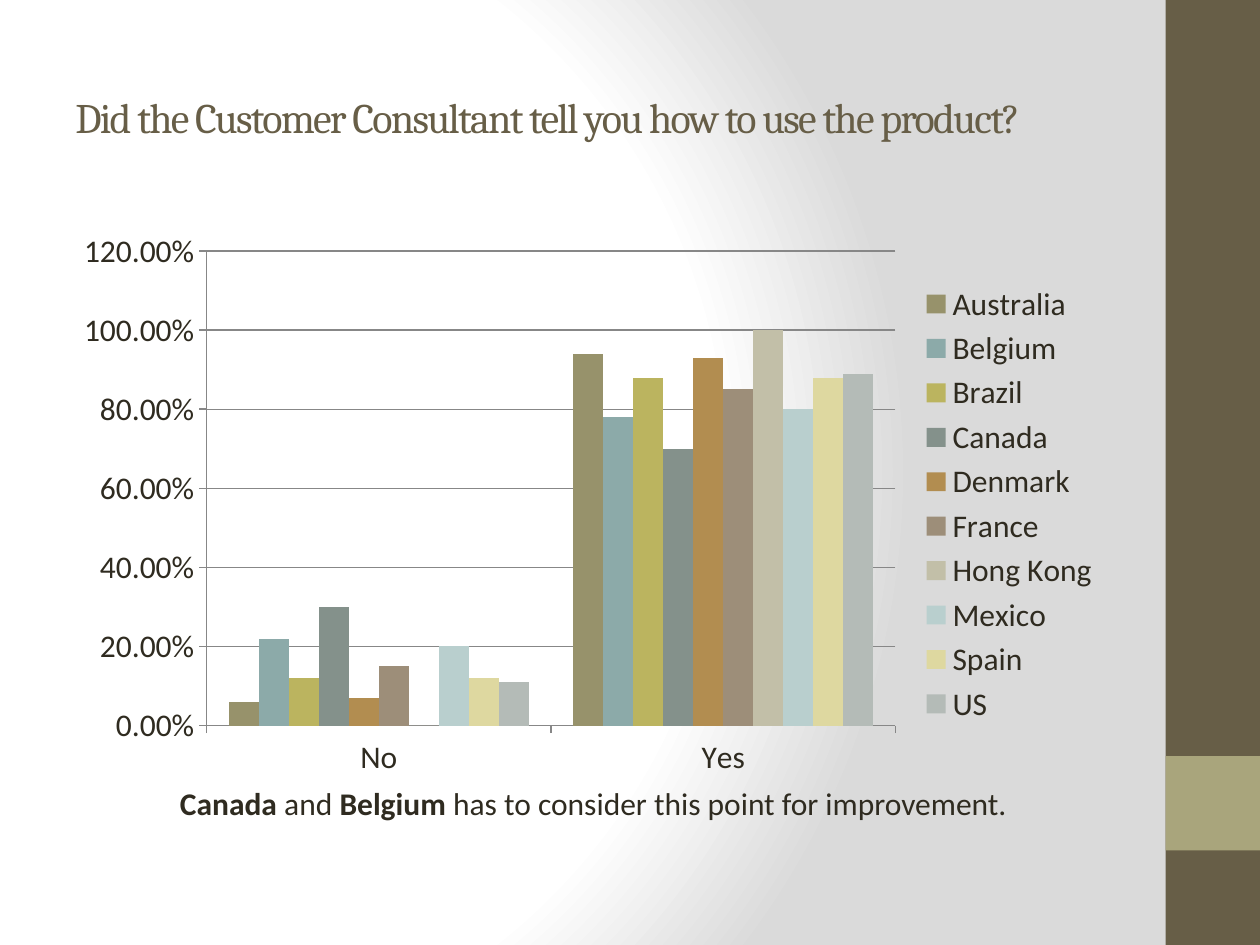
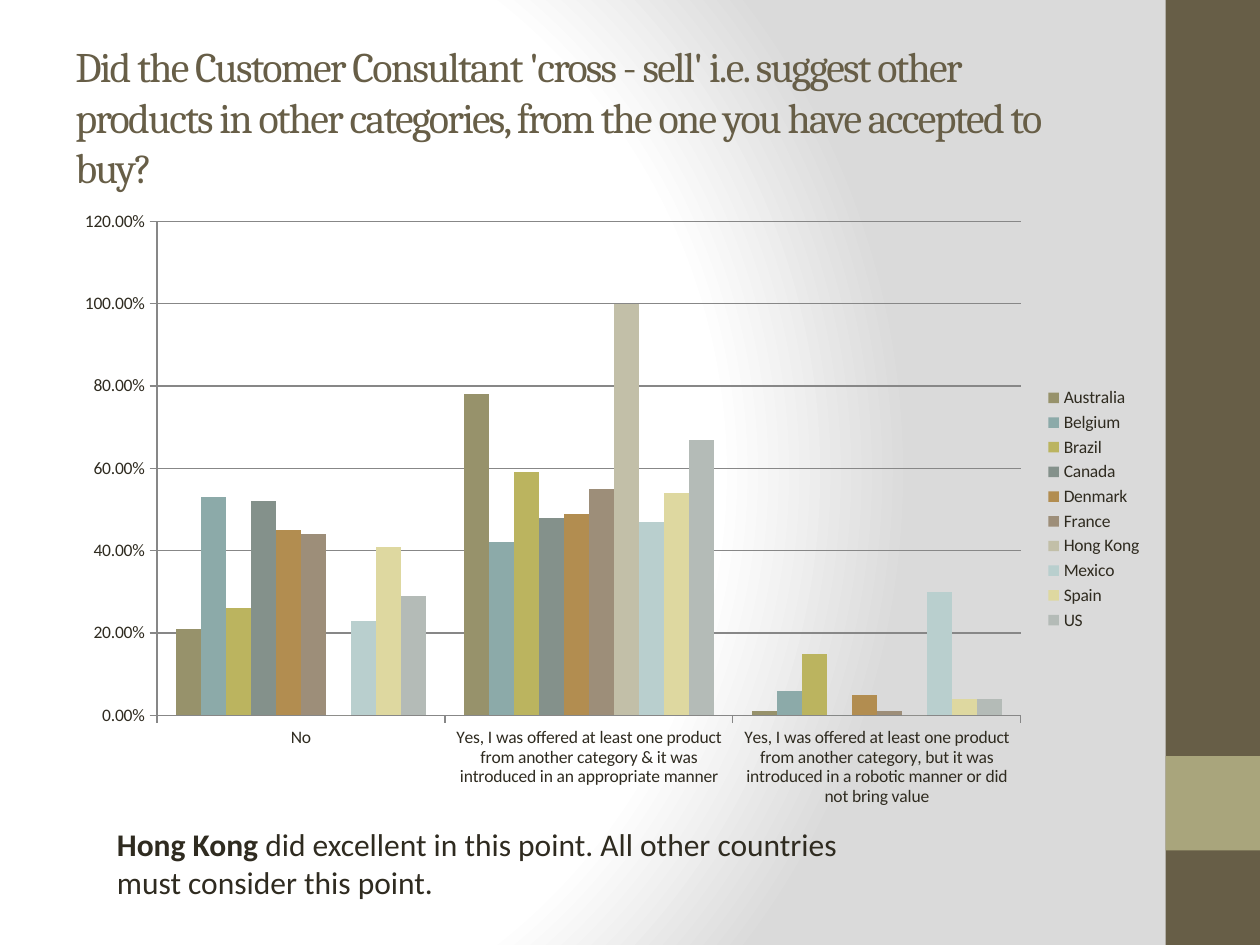
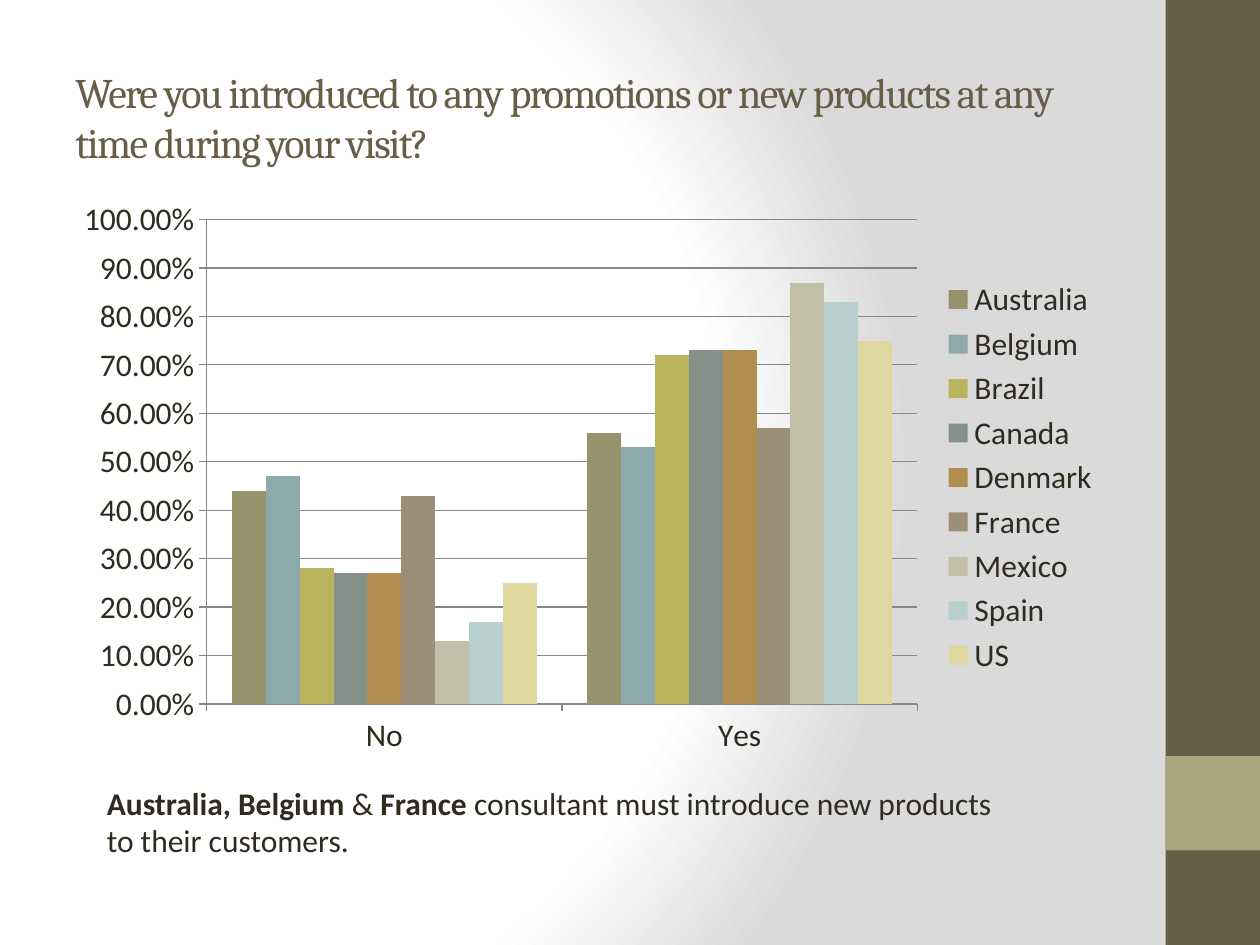
from pptx import Presentation
from pptx.chart.data import CategoryChartData
from pptx.dml.color import RGBColor
from pptx.enum.chart import XL_CHART_TYPE, XL_LEGEND_POSITION, XL_TICK_MARK
from pptx.enum.shapes import MSO_SHAPE
from pptx.enum.text import MSO_ANCHOR
from pptx.oxml import parse_xml
from pptx.oxml.ns import nsdecls, qn
from pptx.util import Inches, Pt

COLORS = {
    "brown": "675E47", "khaki": "A9A57C", "text": "2F2B20",
    "white": "FFFFFF", "gray": "DADADA", "axis": "878787",
}
SERIES_COLORS = ["97926B", "8CAAA9", "BBB45F", "84918B", "B28D50",
                 "9D8E79", "C2BFA8", "B9CFCE", "DED8A0", "B4BBB7"]
TITLE_BOX = (0.5, 0.3, 8.33, 1.25)
TITLE_FORMAT = {"name": "Cambria", "size": Pt(24)}
BODY_FORMAT = {"name": "Calibri", "size": Pt(18)}
BAND_BOX = (9.25, 0, 0.75, 7.5)

COUNTRIES = ["Australia", "Belgium", "Brazil", "Canada", "Denmark",
             "France", "Hong Kong", "Mexico", "Spain", "US"]
NO_HONG_KONG = [c for c in COUNTRIES if c != "Hong Kong"]

SLIDES = [
    {
        "title": "Did the Customer Consultant tell you how to use the product?",
        "chart_box": (0.5, 1.75, 8.33, 4.5), "size": 18, "top": 1.2, "step": 0.2,
        "countries": COUNTRIES,
        "answers": {
            "No": [0.06, 0.22, 0.12, 0.3, 0.07, 0.15, 0, 0.2, 0.12, 0.11],
            "Yes": [0.94, 0.78, 0.88, 0.7, 0.93, 0.85, 1, 0.8, 0.88, 0.89],
        },
        "note_box": (1.33, 6.17, 7.42, 0.4),
        "note": [("Canada ", True), ("and ", False), ("Belgium ", True),
                 ("has to consider this point for improvement.", False)],
    },
    {
        "title": "Did the Customer Consultant 'cross - sell' i.e. suggest other products "
                 "in other categories, from the one you have accepted to buy?",
        "chart_box": (0.5, 1.58, 8.67, 4.92), "size": 10, "top": 1.2, "step": 0.2,
        "countries": COUNTRIES,
        "answers": {
            "No": [0.21, 0.53, 0.26, 0.52, 0.45, 0.44, 0, 0.23, 0.41, 0.29],
            "Yes, I was offered at least one product from another category "
            "& it was introduced in an appropriate manner":
                [0.78, 0.42, 0.59, 0.48, 0.49, 0.55, 1, 0.47, 0.54, 0.67],
            "Yes, I was offered at least one product from another category, "
            "but it was introduced in a robotic manner or did not bring value":
                [0.01, 0.06, 0.15, 0, 0.05, 0.01, 0, 0.3, 0.04, 0.04],
        },
        "note_box": (0.83, 6.5, 6.17, 0.71),
        "note": [("Hong Kong ", True),
                 ("did excellent in this point. All other countries must "
                  "consider this point.", False)],
    },
    {
        "title": "Were you introduced to any promotions or new products at any time "
                 "during your visit?",
        "chart_box": (0.5, 1.5, 8.33, 4.58), "size": 18, "top": 1, "step": 0.1,
        "countries": NO_HONG_KONG,
        "answers": {
            "No": [0.44, 0.47, 0.28, 0.27, 0.27, 0.43, 0.13, 0.17, 0.25],
            "Yes": [0.56, 0.53, 0.72, 0.73, 0.73, 0.57, 0.87, 0.83, 0.75],
        },
        "note_box": (0.75, 6.17, 7.33, 0.71),
        "note": [("Australia, Belgium ", True), ("&", False), (" France ", True),
                 ("consultant must introduce new products to their customers.", False)],
    },
]


def rgb(name):
    return RGBColor.from_string(COLORS[name])


def inches(box):
    return [Inches(v) for v in box]


def set_font(font, color, formats):
    for key, value in formats.items():
        setattr(font, key, value)
    font.color.rgb = rgb(color)


def add_background(s):
    s.background.fill.solid()
    bg = s.element.find(".//" + qn("p:bgPr"))
    stops = "".join(
        f'<a:gs pos="{pos * 1000}"><a:srgbClr val="{COLORS[name]}"/></a:gs>'
        for pos, name in [(0, "white"), (75, "white"), (100, "gray")])
    bg.replace(bg[0], parse_xml(
        f'<a:gradFill {nsdecls("a")} rotWithShape="1"><a:gsLst>{stops}</a:gsLst>'
        '<a:path path="circle"><a:fillToRect l="20000" t="50000" r="100000" b="50000"/>'
        '</a:path></a:gradFill>'))


def add_band(s, box):
    x, y, w, h = box
    # Full-height band with a square accent
    for color, part in [("brown", box), ("khaki", (x, y + h - 2 * w, w, w))]:
        sp = s.shapes.add_shape(MSO_SHAPE.RECTANGLE, *inches(part))
        sp.shadow.inherit = False
        sp.fill.solid()
        sp.fill.fore_color.rgb = rgb(color)
        sp.line.fill.background()


def add_text(s, box, runs, color, formats, anchor=MSO_ANCHOR.TOP):
    tf = s.shapes.add_textbox(*inches(box)).text_frame
    tf.word_wrap = True
    tf.vertical_anchor = anchor
    p = tf.paragraphs[0]
    for text, bold in runs:
        r = p.add_run()
        r.text = text
        set_font(r.font, color, {**formats, "bold": bold})
    return p


def add_title(s, box, text):
    p = add_text(s, box, [(text, False)], "brown", TITLE_FORMAT, MSO_ANCHOR.MIDDLE)
    for r in p.runs:
        r.font._element.set("spc", "-100")


def add_answer_chart(s, box, item):
    data = CategoryChartData(number_format="0.00%")
    data.categories = list(item["answers"])
    for name, values in zip(item["countries"], zip(*item["answers"].values())):
        data.add_series(name, values)
    chart = s.shapes.add_chart(XL_CHART_TYPE.COLUMN_CLUSTERED, *inches(box), data).chart
    chart.has_title = False
    set_font(chart.font, "text", {"name": "Calibri", "size": Pt(item["size"])})

    # Legend
    chart.has_legend = True
    chart.legend.position = XL_LEGEND_POSITION.RIGHT
    chart.legend.include_in_layout = False

    # Columns
    plot = chart.plots[0]
    plot.gap_width = 150
    plot.overlap = 0
    plot.vary_by_categories = False
    for series, color in zip(plot.series, SERIES_COLORS):
        series.format.fill.solid()
        series.format.fill.fore_color.rgb = RGBColor.from_string(color)

    # Axes and gridlines
    values = chart.value_axis
    values.minimum_scale, values.maximum_scale = 0, item["top"]
    values.major_unit = item["step"]
    values.has_major_gridlines = True
    values.tick_labels.number_format = "0.00%"
    values.tick_labels.number_format_is_linked = False
    for axis in (chart.category_axis, values):
        axis.major_tick_mark = XL_TICK_MARK.OUTSIDE
    for part in (chart.category_axis, values, values.major_gridlines):
        part.format.line.color.rgb = rgb("axis")
        part.format.line.width = Pt(0.75)


def add_question_slide(prs, item):
    s = prs.slides.add_slide(prs.slide_layouts[6])
    add_background(s)
    add_band(s, BAND_BOX)
    add_title(s, TITLE_BOX, item["title"])
    add_answer_chart(s, item["chart_box"], item)
    add_text(s, item["note_box"], item["note"], "text", BODY_FORMAT)


def main():
    prs = Presentation()
    prs.slide_width, prs.slide_height = Inches(10), Inches(7.5)
    for item in SLIDES:
        add_question_slide(prs, item)
    prs.save("out.pptx")


if __name__ == "__main__":
    main()
